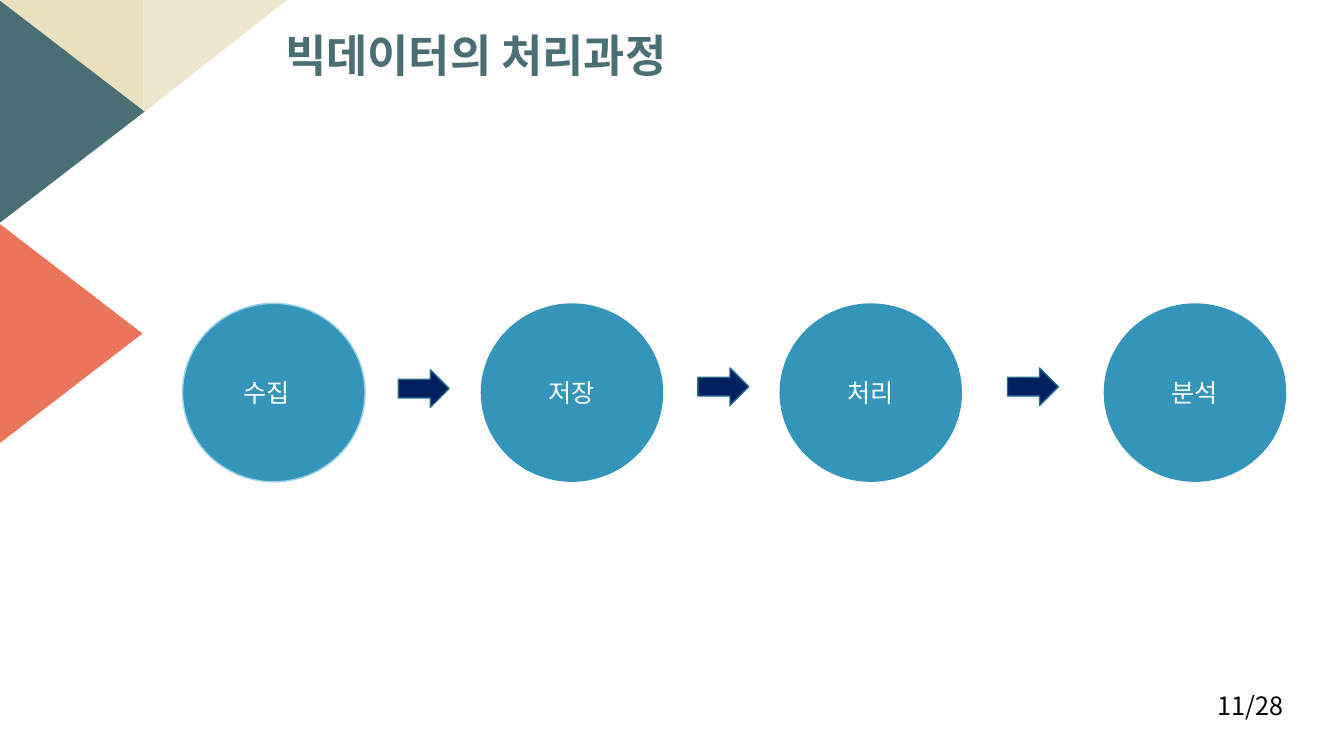
from dataclasses import dataclass

from lxml import etree
from pptx import Presentation
from pptx import util as u
from pptx.dml.color import RGBColor
from pptx.enum import shapes, text
from pptx.oxml import ns

FONT = "Noto Sans CJK KR"
COLOURS = {
    "sand": "EAE0BE", "pale sand": "EEE6CC", "teal": "496F74", "coral": "EC745B",
    "blue": "3494BA", "light blue": "9FD1E4", "navy": "002060", "arrow edge": "266D8A",
    "white": "FFFFFF", "black": "000000",
}
KIND = shapes.MSO_SHAPE


@dataclass
class Figure:
    kind: int
    left: float
    top: float
    width: float
    height: float
    fill: str
    line: str = ""
    rotation: float = 0
    flipped: bool = False
    label: str = ""
    right_inset: float = 7.2


def colour(name: str) -> RGBColor:
    return RGBColor.from_string(COLOURS[name])


def write(box, words: str, size: float, ink: str, align=None, bold: bool = False, **frame_format) -> None:
    """Fill the box with one formatted paragraph; extra values go to its text frame."""
    frame = box.text_frame
    for name, value in frame_format.items():
        setattr(frame, name, value)
    para = frame.paragraphs[0]
    para.alignment = align
    span = para.add_run()
    span.text = words
    for name, value in {"name": FONT, "size": u.Pt(size), "bold": bold}.items():
        setattr(span.font, name, value)
    span.font.color.rgb = colour(ink)
    east_asian = etree.SubElement(span.font._element, ns.qn("a:ea"))
    east_asian.set("typeface", FONT)


def place(box, left: float, top: float, width: float, height: float) -> None:
    for name, value in {"left": left, "top": top, "width": width, "height": height}.items():
        setattr(box, name, u.Pt(value))


def draw(page, figure: Figure) -> None:
    bounds = (figure.left, figure.top, figure.width, figure.height)
    shape = page.shapes.add_shape(figure.kind, *map(u.Pt, bounds))
    shape.shadow.inherit = False
    shape.rotation = figure.rotation
    if figure.flipped:
        shape._element.spPr.get_or_add_xfrm().set("flipH", "1")
    shape.fill.solid()
    shape.fill.fore_color.rgb = colour(figure.fill)
    if figure.line:
        shape.line.color.rgb = colour(figure.line)
        shape.line.width = u.Pt(1)
    else:
        shape.line.fill.background()
    if figure.label:
        write(shape, figure.label, 18, "white", text.PP_ALIGN.CENTER,
              vertical_anchor=text.MSO_ANCHOR.MIDDLE, margin_right=u.Pt(figure.right_inset))


def corner_triangles() -> list[Figure]:
    return [
        Figure(KIND.RIGHT_TRIANGLE, 0, 0, 102.5, 80.5, "sand", rotation=180),
        Figure(KIND.RIGHT_TRIANGLE, 102.5, 0, 102.5, 80.5, "pale sand", rotation=180, flipped=True),
        Figure(KIND.ISOSCELES_TRIANGLE, -28, 28, 159, 103.5, "teal", rotation=90),
        Figure(KIND.ISOSCELES_TRIANGLE, -29.5, 186.5, 159, 103.5, "coral", rotation=90),
    ]


def process_steps() -> list[Figure]:
    circles = [
        Figure(KIND.OVAL, left, 216.7, 130.4, 127.5, "blue", line, label=label, right_inset=inset)
        for label, left, line, inset in (
            ("수집", 130.4, "light blue", 17), ("저장", 343.4, "", 7.2),
            ("처리", 556.8, "", 7.2), ("분석", 788.4, "", 7.2))
    ]
    arrows = [
        Figure(KIND.RIGHT_ARROW, left, top, 36.3, 26.8, "navy", "arrow edge")
        for left, top in ((284.5, 264.2), (498.5, 262.8), (719.7, 262.8))
    ]
    return circles + arrows


def main() -> None:
    deck = Presentation()
    deck.slide_width, deck.slide_height = u.Pt(960), u.Pt(540)
    page = deck.slides.add_slide(deck.slide_layouts[5])

    title = page.shapes.title
    place(title, 196.5, 23.8, 445, 51.8)
    write(title, "빅데이터의 처리과정", 32, "teal", text.PP_ALIGN.LEFT, bold=True,
          vertical_anchor=text.MSO_ANCHOR.TOP, margin_top=0, auto_size=text.MSO_AUTO_SIZE.NONE)
    title.text_frame.paragraphs[0].line_spacing = 0.9

    for figure in corner_triangles() + process_steps():
        draw(page, figure)

    page_number = page.shapes.add_textbox(*map(u.Pt, (862.5, 489.6, 77.8, 28.8)))
    write(page_number, "11/28", 18, "black", word_wrap=True)

    deck.save("out.pptx")


if __name__ == "__main__":
    main()
